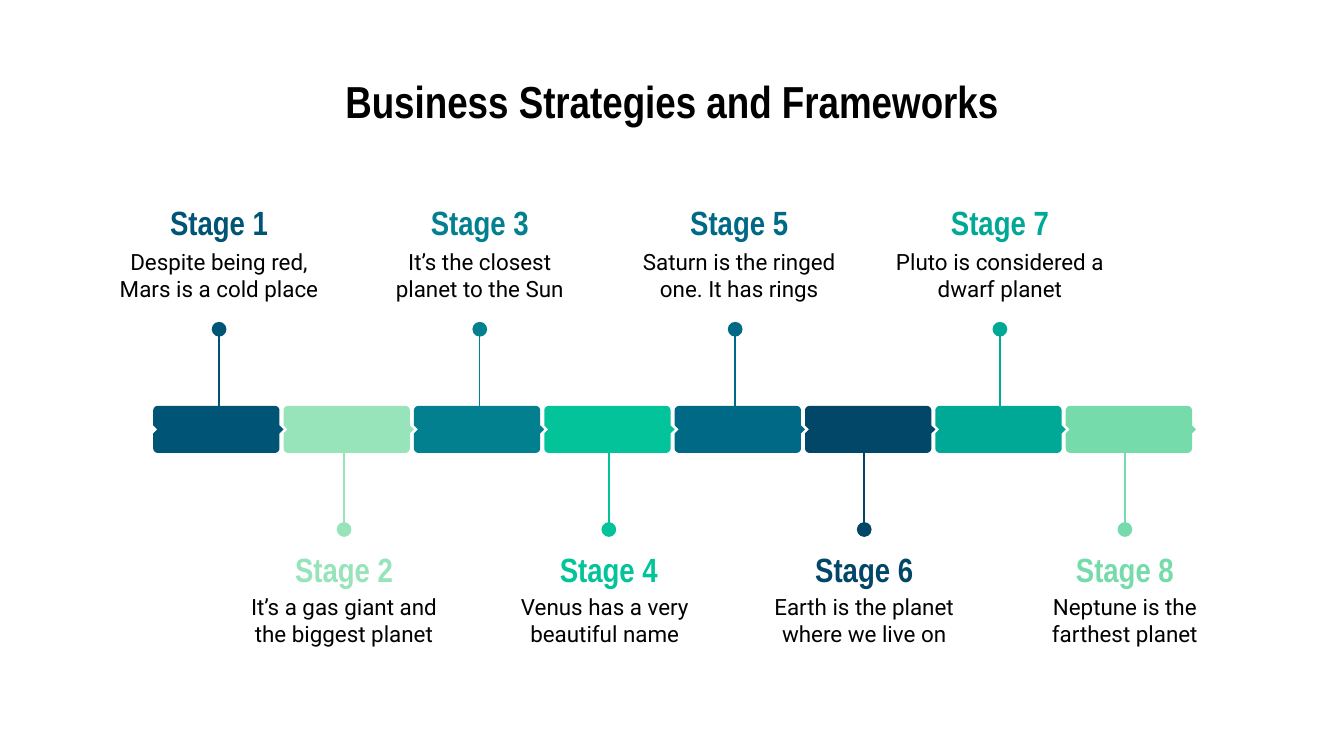
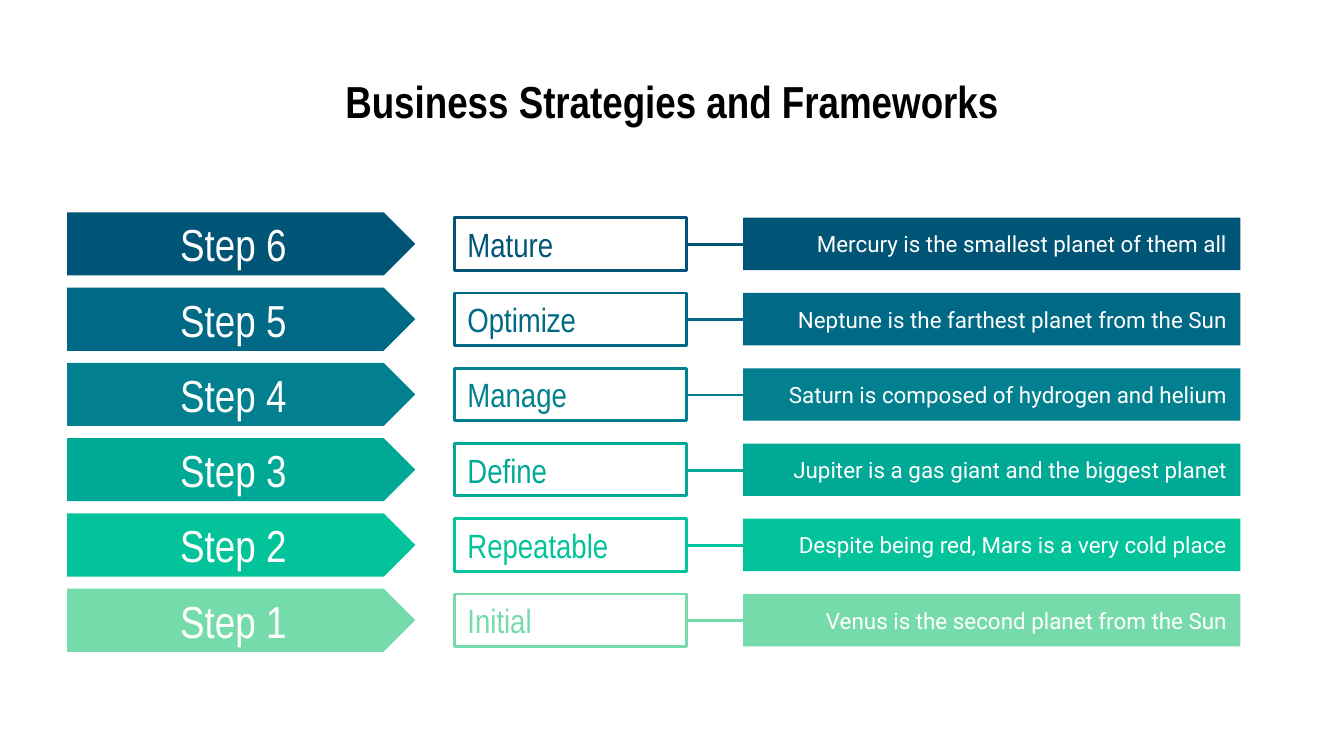
from math import cos, sin, pi

from pptx import Presentation
from pptx.dml.color import RGBColor
from pptx.enum.shapes import MSO_CONNECTOR, MSO_SHAPE
from pptx.enum.text import MSO_ANCHOR, MSO_AUTO_SIZE, PP_ALIGN
from pptx.oxml.ns import qn
from pptx.util import Inches, Pt
from lxml.etree import SubElement

TITLE = "Business Strategies and Frameworks"
HEAD, BODY = "Arial Narrow", "Roboto"
BLACK, WHITE = "000000", "FFFFFF"
NAVY, BLUE, TEAL = "005475", "006985", "028090"
SEA, MINT, LIME = "00A896", "02C39A", "76DBAB"
PALE, DEEP = "97E3BA", "024668"

STAGES = [
    ("Despite being red, Mars is a cold place", NAVY, 1.63, 1.63, 1.63),
    ("It’s a gas giant and the biggest planet", PALE, 2.56, 2.56, 2.56),
    ("It’s the closest planet to the Sun", TEAL, 3.57, 3.57, 3.57),
    ("Venus has a very beautiful name", MINT, 4.53, 4.53, 4.5),
    ("Saturn is the ringed one. It has rings", BLUE, 5.47, 5.5, 5.5),
    ("Earth is the planet where we live on", DEEP, 6.43, 6.43, 6.43),
    ("Pluto is considered a dwarf planet", SEA, 7.44, 7.44, 7.44),
    ("Neptune is the farthest planet", LIME, 8.37, 8.37, 8.37),
]
STEPS = [
    ("Mature", "Mercury is the smallest planet of them all", NAVY),
    ("Optimize", "Neptune is the farthest planet from the Sun", BLUE),
    ("Manage", "Saturn is composed of hydrogen and helium", TEAL),
    ("Define", "Jupiter is a gas giant and the biggest planet", SEA),
    ("Repeatable", "Despite being red, Mars is a very cold place", MINT),
    ("Initial", "Venus is the second planet from the Sun", LIME),
]


def tint(hue):
    return RGBColor.from_string(hue)


def write(shape, text, size, face, hue, align=PP_ALIGN.CENTER, bold=False,
          anchor=MSO_ANCHOR.MIDDLE):
    frame = shape.text_frame
    frame.text = text
    frame.word_wrap = True
    frame.auto_size = MSO_AUTO_SIZE.NONE
    frame.vertical_anchor = anchor
    frame.margin_left = frame.margin_right = Inches(0.1)
    frame.margin_top = frame.margin_bottom = Inches(0.1)
    para = frame.paragraphs[0]
    para.alignment = align
    font = para.runs[0].font
    font.size, font.name, font.bold = Pt(size), face, bold
    font.color.rgb = tint(hue)


def label(slide, mid, top, wide, high, *style, **more):
    box = slide.shapes.add_textbox(
        Inches(mid - wide / 2), Inches(top), Inches(wide), Inches(high))
    write(box, *style, **more)


def paint(shape, fill=None, line=None):
    shape.shadow.inherit = False
    if fill:
        shape.fill.solid()
        shape.fill.fore_color.rgb = tint(fill)
    else:
        shape.fill.background()
    if line:
        shape.line.color.rgb = tint(line)
        shape.line.width = Pt(1.5)
    else:
        shape.line.fill.background()


def block(slide, kind, left, top, wide, high, fill=None, line=None):
    shape = slide.shapes.add_shape(
        kind, Inches(left), Inches(top), Inches(wide), Inches(high))
    paint(shape, fill, line)
    return shape


def rule(slide, x1, y1, x2, y2, hue, width):
    line = slide.shapes.add_connector(
        MSO_CONNECTOR.STRAIGHT, Inches(x1), Inches(y1), Inches(x2), Inches(y2))
    line.line.color.rgb = tint(hue)
    line.line.width = Pt(width)
    SubElement(line._element.spPr, qn("a:effectLst"))


def link(slide, left, top, hue):
    wide, high, tip, curve = 0.94, 0.35, 0.03, 0.035
    right, base, mid = left + wide, top + high, top + high / 2

    def bend(x, y, start):
        turns = [(start + k / 6) * pi / 2 for k in range(7)]
        return [(x + curve * cos(a), y + curve * sin(a)) for a in turns]

    dots = bend(left + curve, top + curve, 2)
    dots += bend(right - curve, top + curve, 3)
    dots += [(right, mid - tip), (right + tip, mid), (right, mid + tip)]
    dots += bend(right - curve, base - curve, 0)
    dots += bend(left + curve, base - curve, 1)
    dots += [(left, mid + tip), (left + tip, mid), (left, mid - tip)]
    dots = [(Inches(x), Inches(y)) for x, y in dots]
    form = slide.shapes.build_freeform(*dots[0])
    form.add_line_segments(dots[1:], close=True)
    paint(form.convert_to_shape(), hue)


def start(deck):
    slide = deck.slides.add_slide(deck.slide_layouts[5])
    title = slide.shapes.title
    title.left, title.top = Inches(0.5), Inches(0.45)
    title.width, title.height = Inches(9), Inches(0.63)
    write(title, TITLE, 24, HEAD, BLACK, bold=True, anchor=MSO_ANCHOR.TOP)
    return slide


def draw_stages(slide):
    band, high, dot = 3.02, 0.35, 0.11
    for i, (text, hue, stem, mid, core) in enumerate(STAGES):
        if i % 2:
            near, far, top, low = band + high, 3.94, 4.1, 4.37
        else:
            near, far, top, low = band, 2.45, 1.52, 1.8
        rule(slide, stem, far, stem, near, hue, 0.75)
        block(slide, MSO_SHAPE.OVAL, stem - dot / 2, far - dot / 2,
              dot, dot, hue)
        link(slide, 1.14 + 0.97 * i, band, hue)
        label(slide, mid, top, 1.18, 0.27,
              f"Stage {i + 1}", 18, HEAD, hue, bold=True)
        label(slide, core, low, 1.75, 0.49, text, 12, BODY, BLACK)


def draw_steps(slide):
    for i, (name, text, hue) in enumerate(STEPS):
        top = 1.58 + 0.56 * i
        arrow = block(slide, MSO_SHAPE.PENTAGON, 0.5, top, 2.59, 0.47, hue)
        write(arrow, f"Step {len(STEPS) - i}", 24, HEAD, WHITE)
        frame = block(slide, MSO_SHAPE.RECTANGLE, 3.38, top + 0.04,
                      1.73, 0.39, line=hue)
        write(frame, name, 18, HEAD, hue, PP_ALIGN.LEFT)
        bar = block(slide, MSO_SHAPE.RECTANGLE, 5.53, top + 0.04,
                    3.7, 0.39, hue)
        write(bar, text, 12, BODY, WHITE, PP_ALIGN.RIGHT)
        rule(slide, 5.1, top + 0.24, 5.53, top + 0.24, hue, 1.5)


def main():
    deck = Presentation()
    deck.slide_width = Inches(10)
    deck.slide_height = deck.slide_width * 9 // 16
    for draw in (draw_stages, draw_steps):
        draw(start(deck))
    deck.save("out.pptx")


if __name__ == "__main__":
    main()
